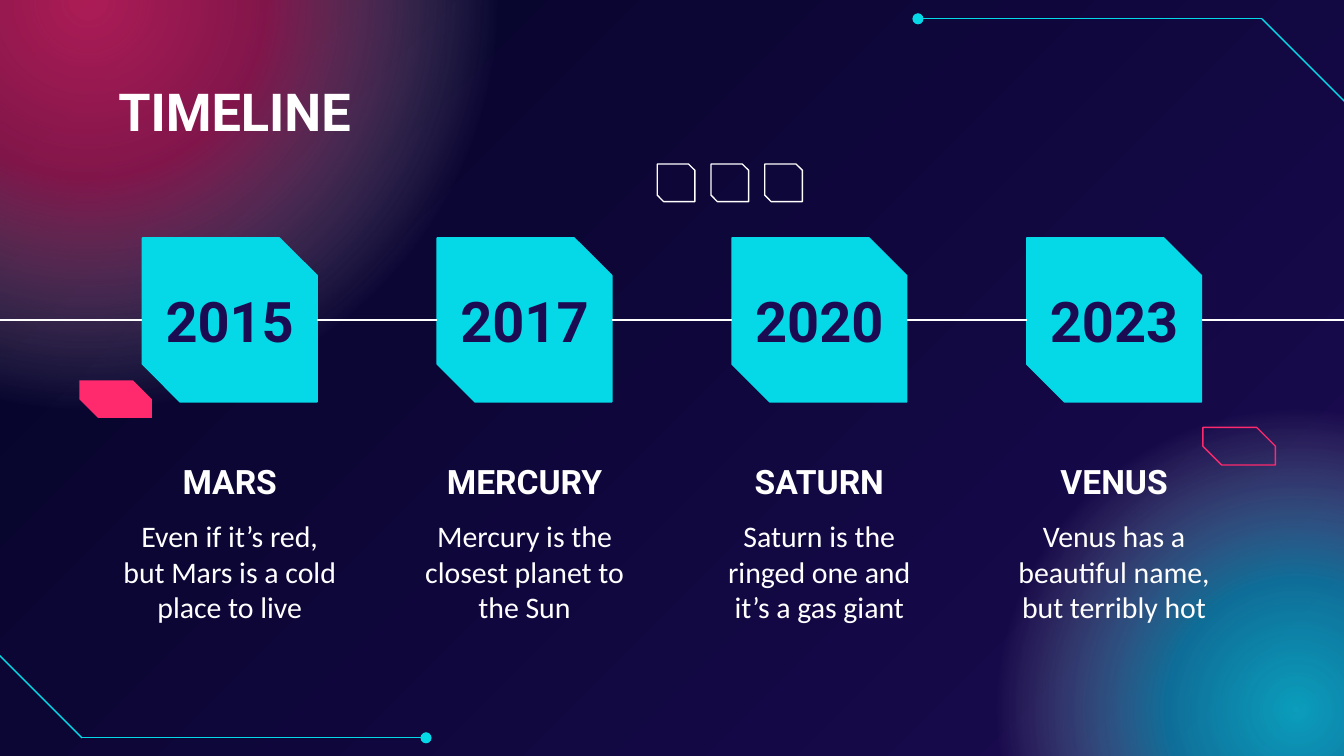
from typing import NamedTuple, Optional

from lxml import etree
from pptx import Presentation
from pptx.dml.color import RGBColor
from pptx.enum.shapes import MSO_CONNECTOR, MSO_SHAPE
from pptx.enum.text import MSO_ANCHOR, MSO_AUTO_SIZE, PP_ALIGN
from pptx.oxml import parse_xml
from pptx.oxml.ns import nsdecls, qn
from pptx.util import Inches, Pt

STRAIGHT = MSO_CONNECTOR.STRAIGHT
SNIPPED = MSO_SHAPE.SNIP_2_DIAG_RECTANGLE
OVAL = MSO_SHAPE.OVAL
TOP, MIDDLE = MSO_ANCHOR.TOP, MSO_ANCHOR.MIDDLE
LEFT, CENTER = PP_ALIGN.LEFT, PP_ALIGN.CENTER
GROW, FIXED = MSO_AUTO_SIZE.SHAPE_TO_FIT_TEXT, MSO_AUTO_SIZE.NONE

NIGHT = RGBColor(0x03, 0x03, 0x25)
INDIGO = RGBColor(0x1B, 0x0B, 0x52)
CYAN = RGBColor(0x05, 0xD8, 0xE7)
PINK = RGBColor(0xFF, 0x29, 0x6D)
WHITE = RGBColor(0xFF, 0xFF, 0xFF)

HEADING_FONT, BODY_FONT = "Roboto", "Calibri"
SLIDE_WIDTH, SLIDE_HEIGHT = 10, 5.625
LINE_WIDTH = Pt(0.75)

COLUMN_WIDTH = 1.86
FIRST_COLUMN, LAST_COLUMN = 0.78, 7.36
BADGE_WIDTH, BADGE_HEIGHT, BADGE_TOP = 1.3, 1.22, 1.77
AXIS_Y = BADGE_TOP + BADGE_HEIGHT / 2


class Box(NamedTuple):
    left: float
    top: float
    width: float
    height: float


class Milestone(NamedTuple):
    year: str
    planet: str
    description: str


class Glow(NamedTuple):
    box: Box
    color: RGBColor
    center_alpha: int
    middle_alpha: int


class Point(NamedTuple):
    x: float
    y: float


class Style(NamedTuple):
    font: str
    size: int
    color: RGBColor
    bold: bool
    align: PP_ALIGN = CENTER
    anchor: MSO_ANCHOR = TOP
    auto_size: MSO_AUTO_SIZE = FIXED


TITLE = Style(HEADING_FONT, 28, WHITE, True, align=LEFT)
YEAR = Style(HEADING_FONT, 30, INDIGO, True, anchor=MIDDLE)
PLANET = Style(HEADING_FONT, 18, WHITE, True)
DESCRIPTION = Style(BODY_FONT, 16, WHITE, False, auto_size=GROW)

MILESTONES = [
    Milestone("2015", "MARS", "Even if it’s red, but Mars is a cold place to live"),
    Milestone("2017", "MERCURY", "Mercury is the closest planet to the Sun"),
    Milestone("2020", "SATURN", "Saturn is the ringed one and it’s a gas giant"),
    Milestone("2023", "VENUS", "Venus has a beautiful name, but terribly hot"),
]
GLOWS = [
    Glow(Box(-2.47, -3.12, 6.25, 6.25), PINK, 67, 49),
    Glow(Box(7.36, 2.99, 4.57, 4.57), CYAN, 71, 48),
]
CORNER_TRACES = [
    [Point(-0.02, 4.86), Point(0.61, 5.49), Point(3.17, 5.49)],
    [Point(10.02, 0.77), Point(9.39, 0.14), Point(6.83, 0.14)],
]


def inches(box: Box) -> list:
    return [Inches(value) for value in box]


def add_glow(slide, glow: Glow) -> None:
    """Draw a circle that fades from its centre to nothing."""
    circle = slide.shapes.add_shape(OVAL, *inches(glow.box))
    circle.shadow.inherit = False
    circle.line.fill.background()
    stops = [(0, glow.color, glow.center_alpha), (30, glow.color, glow.middle_alpha),
             (69, WHITE, 0), (100, WHITE, 0)]
    stop_xml = "".join(
        f'<a:gs pos="{position * 1000}"><a:srgbClr val="{color}">'
        f'<a:alpha val="{alpha * 1000}"/></a:srgbClr></a:gs>'
        for position, color, alpha in stops)
    gradient = parse_xml(
        f'<a:gradFill {nsdecls("a")} rotWithShape="1"><a:gsLst>{stop_xml}</a:gsLst>'
        '<a:path path="circle"><a:fillToRect l="50000" t="50000" r="50000" b="50000"/>'
        '</a:path></a:gradFill>')
    circle._element.spPr.find(qn("a:prstGeom")).addnext(gradient)


def add_line(slide, start: Point, end: Point, color: RGBColor, dot: bool = False) -> None:
    line = slide.shapes.add_connector(
        STRAIGHT, *[Inches(value) for value in (*start, *end)])
    line.line.color.rgb = color
    line.line.width = LINE_WIDTH
    if dot:
        etree.SubElement(line.line._get_or_add_ln(), qn("a:tailEnd"), type="oval")
    etree.SubElement(line._element.spPr, qn("a:effectLst"))


def add_snipped(slide, box: Box, snip: float, fill: Optional[RGBColor] = None,
                outline: Optional[RGBColor] = None) -> None:
    shape = slide.shapes.add_shape(SNIPPED, *inches(box))
    shape.shadow.inherit = False
    shape.adjustments[0] = 0
    shape.adjustments[1] = snip
    if fill is None:
        shape.fill.background()
    else:
        shape.fill.solid()
        shape.fill.fore_color.rgb = fill
    if outline is None:
        shape.line.fill.background()
    else:
        shape.line.color.rgb = outline
        shape.line.width = LINE_WIDTH


def write(shape, text: str, style: Style) -> None:
    frame = shape.text_frame
    frame.text = text
    frame.word_wrap = True
    frame.auto_size = style.auto_size
    frame.vertical_anchor = style.anchor
    frame.margin_left = frame.margin_right = Inches(0.1)
    frame.margin_top = frame.margin_bottom = Inches(0.1)
    paragraph = frame.paragraphs[0]
    paragraph.alignment = style.align
    font = paragraph.runs[0].font
    font.name, font.size, font.bold = style.font, Pt(style.size), style.bold
    font.color.rgb = style.color


def add_text(slide, box: Box, text: str, style: Style) -> None:
    write(slide.shapes.add_textbox(*inches(box)), text, style)


def set_background(slide) -> None:
    fill = slide.background.fill
    fill.gradient()
    fill.gradient_angle = 315
    for stop, color in zip(fill.gradient_stops, (NIGHT, INDIGO)):
        stop.color.rgb = color


def place_title(slide, box: Box, text: str) -> None:
    """Fill the title and bring it in front of the glows."""
    title = slide.shapes.title
    title.left, title.top, title.width, title.height = inches(box)
    write(title, text, TITLE)
    slide.shapes._spTree.append(title._element)


def add_timeline(slide) -> None:
    pitch = (LAST_COLUMN - FIRST_COLUMN) / (len(MILESTONES) - 1)
    axis_ends = [0]
    for index, milestone in enumerate(MILESTONES):
        column = FIRST_COLUMN + index * pitch
        badge = column + (COLUMN_WIDTH - BADGE_WIDTH) / 2
        add_snipped(slide, Box(badge, BADGE_TOP, BADGE_WIDTH, BADGE_HEIGHT), 0.23, CYAN, CYAN)
        add_text(slide, Box(badge, AXIS_Y - 0.22, BADGE_WIDTH, 0.44), milestone.year, YEAR)
        add_text(slide, Box(column, 3.33, COLUMN_WIDTH, 0.44), milestone.planet, PLANET)
        add_text(slide, Box(column, 3.75, COLUMN_WIDTH, 1.01), milestone.description, DESCRIPTION)
        axis_ends += [badge, badge + BADGE_WIDTH]
    axis_ends.append(SLIDE_WIDTH)
    for start, end in zip(axis_ends[::2], axis_ends[1::2]):
        add_line(slide, Point(start, AXIS_Y), Point(end, AXIS_Y), WHITE)


def main() -> None:
    deck = Presentation()
    deck.slide_width, deck.slide_height = Inches(SLIDE_WIDTH), Inches(SLIDE_HEIGHT)
    slide = deck.slides.add_slide(deck.slide_layouts.get_by_name("Title Only"))
    set_background(slide)
    for glow in GLOWS:
        add_glow(slide, glow)
    for outer, bend, inner in CORNER_TRACES:
        add_line(slide, outer, bend, CYAN)
        add_line(slide, bend, inner, CYAN, dot=True)
    place_title(slide, Box(0.78, 0.49, 8.44, 0.63), "TIMELINE")
    add_timeline(slide)
    for index in range(3):
        add_snipped(slide, Box(4.89 + 0.4 * index, 1.22, 0.28, 0.28), 0.17, outline=WHITE)
    add_snipped(slide, Box(0.59, 2.83, 0.54, 0.28), 0.5, fill=PINK)
    add_snipped(slide, Box(8.95, 3.18, 0.54, 0.28), 0.5, outline=PINK)
    deck.save("out.pptx")


if __name__ == "__main__":
    main()
